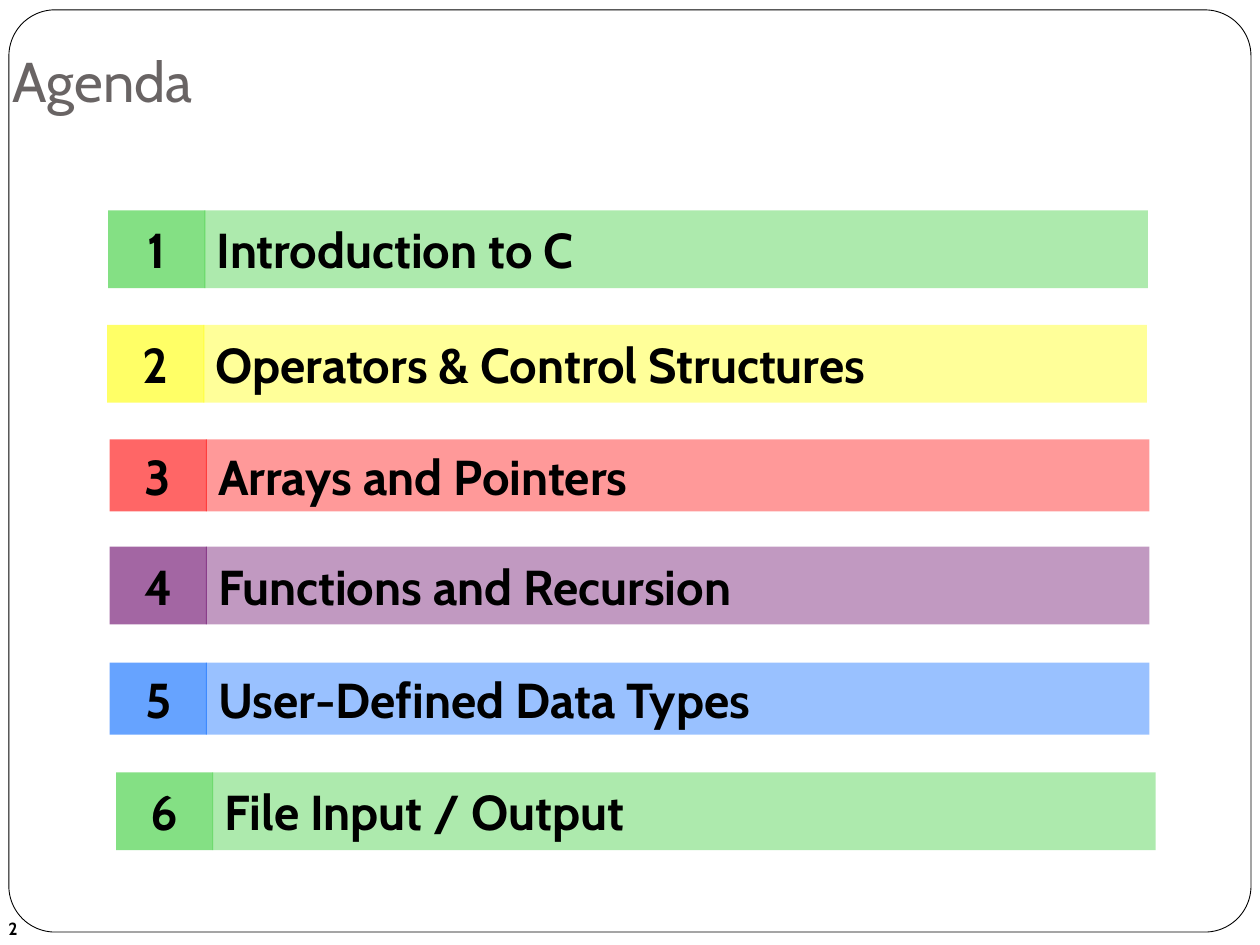
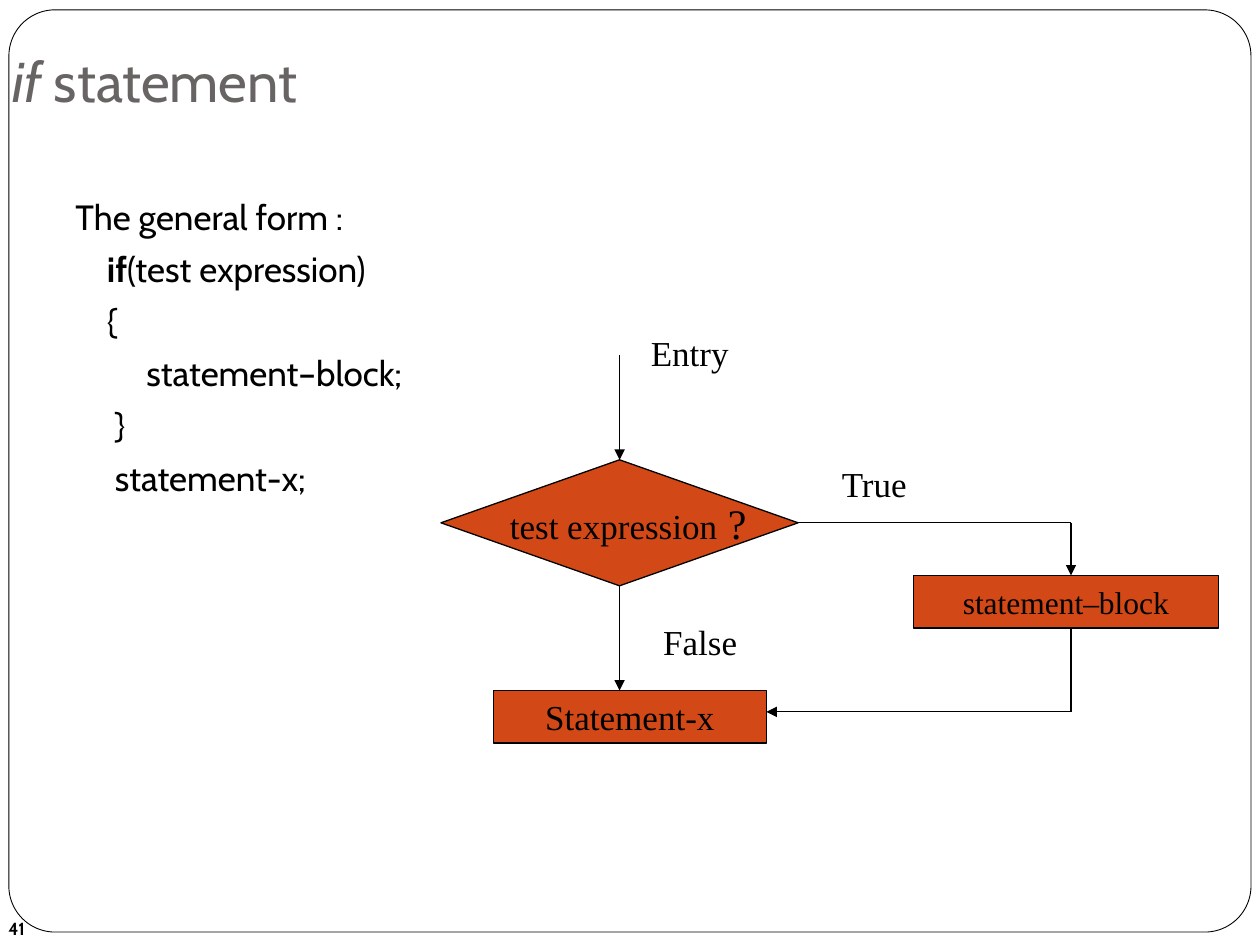
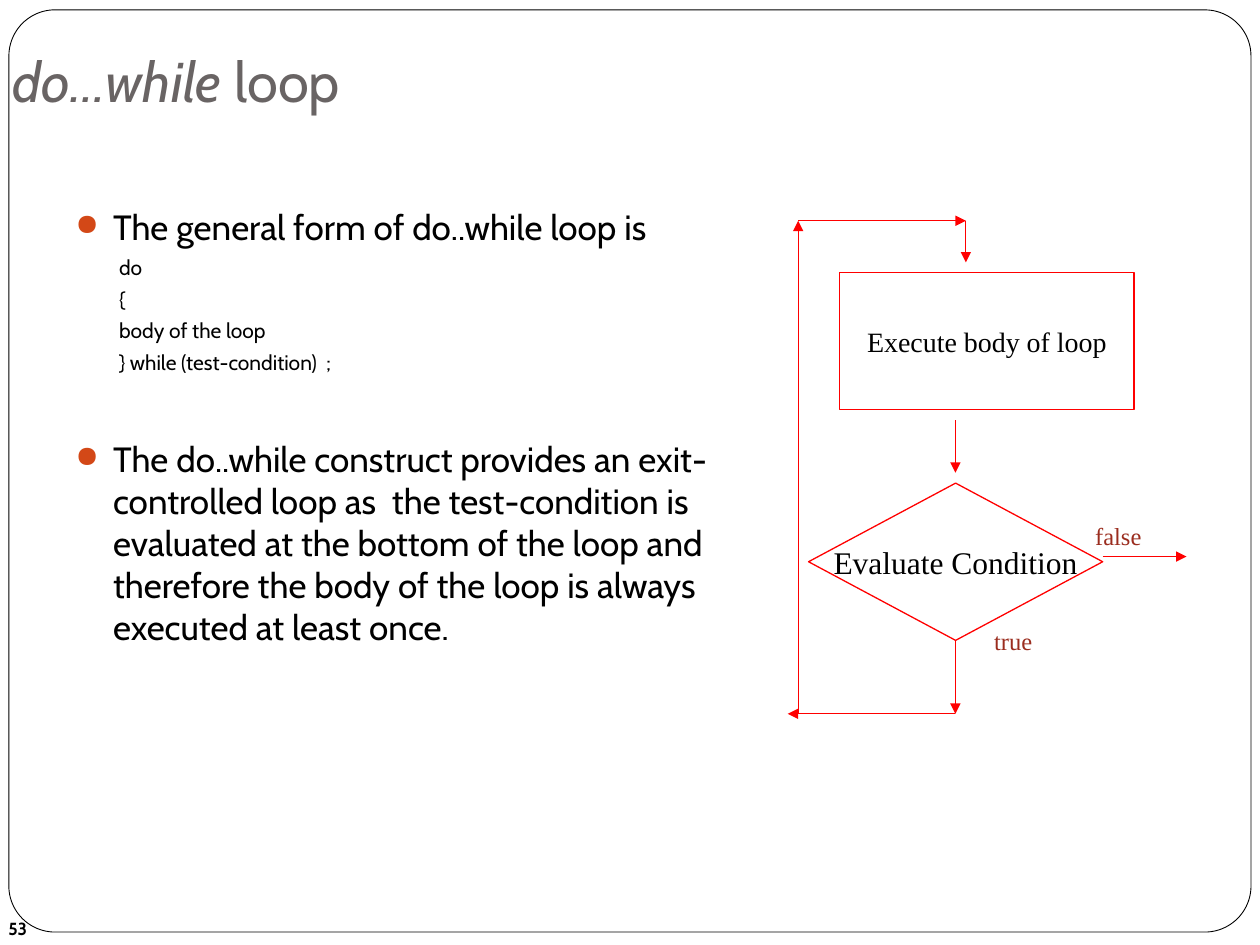
import pptx
import pptx.util
import pptx.dml.color
import pptx.enum.shapes
import pptx.enum.text
import pptx.oxml
import pptx.oxml.ns
from lxml import etree

Cm = pptx.util.Cm
Pt = pptx.util.Pt
RGBColor = pptx.dml.color.RGBColor
SHAPE = pptx.enum.shapes.MSO_SHAPE
ANCHOR = pptx.enum.text.MSO_ANCHOR
ALIGN = pptx.enum.text.PP_ALIGN
qn = pptx.oxml.ns.qn

# Shared style
BLACK = RGBColor(0x00, 0x00, 0x00)
WHITE = RGBColor(0xFF, 0xFF, 0xFF)
TITLE_GREY = RGBColor(0x69, 0x64, 0x64)
ORANGE = RGBColor(0xD3, 0x48, 0x17)
BROWN = RGBColor(0x9B, 0x2D, 0x1F)
GREEN = RGBColor(0x33, 0xCC, 0x33)
YELLOW = RGBColor(0xFF, 0xFF, 0x00)
RED = RGBColor(0xFF, 0x00, 0x00)
PURPLE = RGBColor(0x66, 0x00, 0x66)
BLUE = RGBColor(0x00, 0x66, 0xFF)
BODY_FONT = "Cabin"
CHART_FONT = "Times New Roman"

# Agenda rows: topic, colour, left, top, height (cm)
AGENDA = [
    ("Introduction to C", GREEN, 2.18, 4.24, 1.57),
    ("Operators & Control Structures", YELLOW, 2.16, 6.55, 1.57),
    ("Arrays and Pointers", RED, 2.21, 8.86, 1.45),
    ("Functions and Recursion", PURPLE, 2.21, 11.02, 1.57),
    ("User-Defined Data Types", BLUE, 2.21, 13.36, 1.45),
    ("File Input / Output", GREEN, 2.34, 15.57, 1.57),
]


def write(frame, text, size=20, font=BODY_FONT, color=BLACK, bold=False,
          align=ALIGN.LEFT, before=0, margin=0, hang=0, bullet=False):
    """Add one paragraph; text is a string or a list of (string, changes)."""
    paragraph = frame.paragraphs[0]
    if paragraph.runs:
        paragraph = frame.add_paragraph()
    properties = paragraph._p.get_or_add_pPr()
    properties.set("marL", str(Cm(margin)))
    properties.set("indent", str(-Cm(hang)))
    paragraph.space_before = Pt(before)
    paragraph.alignment = align
    if bullet:
        tint = etree.SubElement(properties, qn("a:buClr"))
        etree.SubElement(tint, qn("a:srgbClr"), val=str(ORANGE))
        etree.SubElement(properties, qn("a:buSzPct"), val="85000")
        etree.SubElement(properties, qn("a:buChar"), char="●")
    else:
        etree.SubElement(properties, qn("a:buNone"))
    for words, changes in [(text, {})] if isinstance(text, str) else text:
        run = paragraph.add_run()
        run.text = words
        run.font.name = font
        run.font.size = Pt(changes.get("size", size))
        run.font.bold = changes.get("bold", bold)
        run.font.italic = changes.get("italic", False)
        run.font.color.rgb = color


def text_area(slide, left, top, width, height, anchor=ANCHOR.TOP):
    frame = slide.shapes.add_textbox(
        Cm(left), Cm(top), Cm(width), Cm(height)).text_frame
    frame.word_wrap = True
    frame.vertical_anchor = anchor
    return frame


def block(slide, kind, left, top, width, height, fill=None, opacity=None,
          line=None, weight=0.75):
    """Draw a preset shape, ready to take centred or left text."""
    shape = slide.shapes.add_shape(
        kind, Cm(left), Cm(top), Cm(width), Cm(height))
    shape.shadow.inherit = False
    if fill is None:
        shape.fill.background()
    else:
        shape.fill.solid()
        shape.fill.fore_color.rgb = fill
    if opacity is not None:
        tint = shape.fill._xPr.find(".//" + qn("a:srgbClr"))
        etree.SubElement(tint, qn("a:alpha"), val=str(opacity * 1000))
    if line is None:
        shape.line.fill.background()
    else:
        shape.line.color.rgb = line
        shape.line.width = Pt(weight)
    shape.text_frame.vertical_anchor = ANCHOR.MIDDLE
    shape.text_frame.word_wrap = False
    return shape


def flow_step(slide, kind, box, text, size, fill, line):
    step = block(slide, kind, *box, fill=fill, line=line)
    write(step.text_frame, text, size=size, font=CHART_FONT,
          align=ALIGN.CENTER)
    return step


def flow_line(slide, start, end, color, head=True):
    link = slide.shapes.add_connector(
        pptx.enum.shapes.MSO_CONNECTOR.STRAIGHT,
        Cm(start[0]), Cm(start[1]), Cm(end[0]), Cm(end[1]))
    link.line.color.rgb = color
    link.line.width = Pt(0.75)
    if head:
        etree.SubElement(link.line._get_or_add_ln(), qn("a:tailEnd"),
                         type="triangle")
    etree.SubElement(link._element.spPr, qn("a:effectLst"))


def new_slide(deck, title, number):
    """Start a slide with the frame, the page number and the title."""
    slide = deck.slides.add_slide(deck.slide_layouts[6])
    border = block(slide, SHAPE.ROUNDED_RECTANGLE, 0.18, 0.2, 25.04, 18.59,
                   fill=WHITE, line=BLACK, weight=0.5)
    border.adjustments[0] = 0.05
    page = text_area(slide, -0.08, 18.21, 5.92, 1.02, ANCHOR.MIDDLE)
    write(page, str(number), size=10, bold=True)
    heading = text_area(slide, 0, 0, 21.01, 2.54, ANCHOR.BOTTOM)
    heading.margin_bottom = Cm(0.25)
    write(heading, title, size=32, color=TITLE_GREY)
    return slide


def agenda_slide(deck):
    slide = new_slide(deck, "Agenda", 2)
    for number, (topic, color, left, top, height) in enumerate(AGENDA, 1):
        badge = block(slide, SHAPE.RECTANGLE, left, top, 1.96, height,
                      fill=color, opacity=60)
        write(badge.text_frame, str(number), size=28, bold=True,
              align=ALIGN.CENTER)
        bar = block(slide, SHAPE.RECTANGLE, left + 1.94, top, 19.02, height,
                    fill=color, opacity=40)
        bar.text_frame.word_wrap = True
        write(bar.text_frame, topic, size=28, bold=True)


def if_slide(deck):
    slide = new_slide(deck, [("if ", {"italic": True}), ("statement", {})], 41)

    # General form
    syntax = text_area(slide, 1.27, 3.81, 8.89, 13.77)
    code = [
        "The general form :",
        [("    ", {}), ("if", {"bold": True}), ("(test expression)", {})],
        "    {",
        "         statement–block;",
        "     }",
        "     statement-x;",
    ]
    for index, text in enumerate(code):
        write(syntax, text, before=5.8 if index else 0, margin=0.76, hang=0.76)

    # Flowchart steps
    main_x, branch_x = 12.49, 21.59
    test = flow_step(slide, SHAPE.FLOWCHART_DECISION, (8.89, 9.27, 7.2, 2.54),
                     [("test expression", {}), (" ?", {"size": 24})],
                     20, ORANGE, BLACK)
    test.text_frame.margin_left = Cm(0.6)
    flow_step(slide, SHAPE.RECTANGLE, (9.95, 13.92, 5.5, 1.06),
              "Statement-x", 20, ORANGE, BLACK)
    flow_step(slide, SHAPE.RECTANGLE, (18.42, 11.6, 6.14, 1.06),
              "statement–block", 18, ORANGE, BLACK)

    # Flowchart paths and their labels
    for start, end, head in [
        ((main_x, 7.16), (main_x, 9.27), True),
        ((main_x, 11.81), (main_x, 13.92), True),
        ((16.09, 10.54), (branch_x, 10.54), False),
        ((branch_x, 10.54), (branch_x, 11.6), True),
        ((branch_x, 12.66), (branch_x, 14.35), False),
        ((branch_x, 14.35), (15.45, 14.35), True),
    ]:
        flow_line(slide, start, end, BLACK, head)
    for label, left, top in [("Entry", 12.87, 6.56), ("True", 16.72, 9.2),
                             ("False", 13.12, 12.38)]:
        write(text_area(slide, left, top, 2.5, 1.1), label, font=CHART_FONT)


def do_while_slide(deck):
    slide = new_slide(
        deck, [("do…while ", {"italic": True}), ("loop", {})], 53)

    # Explanation
    notes = text_area(slide, 1.27, 4.02, 13.34, 13.34)
    point = {"margin": 0.76, "hang": 0.76, "bullet": True}
    write(notes, "The general form of do..while loop is", **point)
    for code in ["do", "{", "body of the loop",
                 "} while (test-condition)  ;"]:
        write(notes, code, size=12, before=3.8, margin=1.52, hang=0.64)
    write(notes, "The do..while construct provides an exit-controlled loop as"
          "  the test-condition is evaluated at the bottom of the loop and "
          "therefore the body of the loop is always executed at least once.",
          before=35.6, **point)

    # Flowchart steps
    flow_step(slide, SHAPE.DIAMOND, (16.3, 9.74, 5.93, 3.17),
              "Evaluate Condition", 18, None, RED)
    flow_step(slide, SHAPE.RECTANGLE, (16.93, 5.5, 5.93, 2.75),
              "Execute body of loop", 16, None, RED)

    # Flowchart paths and their labels
    main_x, entry_x, return_x = 19.26, 19.47, 16.09
    top_y, bottom_y = 4.45, 14.39
    for start, end in [
        ((main_x, 8.47), (main_x, 9.53)),
        ((entry_x, top_y), (entry_x, 5.29)),
        ((main_x, 12.91), (main_x, bottom_y)),
        ((main_x, bottom_y), (15.88, bottom_y)),
        ((return_x, bottom_y), (return_x, top_y)),
        ((return_x, top_y), (entry_x, top_y)),
        ((22.23, 11.22), (23.92, 11.22)),
    ]:
        flow_line(slide, start, end, RED)
    for label, left, top in [("true", 19.26, 12.49), ("false", 21.38, 10.37)]:
        write(text_area(slide, left, top, 2.33, 0.85), label, size=14,
              font=CHART_FONT, color=BROWN, align=ALIGN.CENTER)


def main():
    deck = pptx.Presentation()
    deck.slide_width = Cm(25.4)
    deck.slide_height = Cm(19.05)
    agenda_slide(deck)
    if_slide(deck)
    do_while_slide(deck)
    deck.save("out.pptx")


if __name__ == "__main__":
    main()
